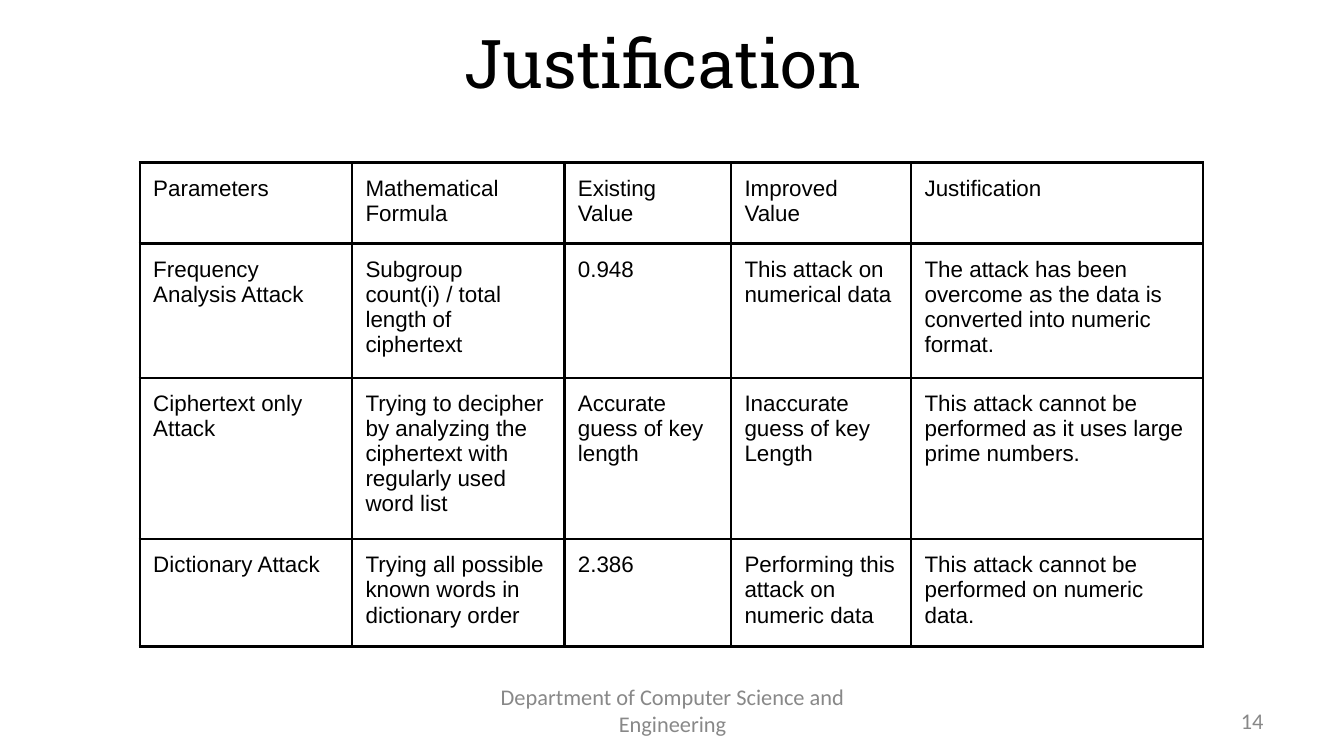
from dataclasses import dataclass

from lxml import etree
from pptx import Presentation
from pptx.dml.color import RGBColor
from pptx.enum.text import MSO_ANCHOR, MSO_AUTO_SIZE, PP_ALIGN
from pptx.oxml.ns import qn
from pptx.util import Inches, Pt

CENTER, RIGHT = PP_ALIGN.CENTER, PP_ALIGN.RIGHT
MIDDLE, BOTTOM = MSO_ANCHOR.MIDDLE, MSO_ANCHOR.BOTTOM
NO_AUTOFIT = MSO_AUTO_SIZE.NONE

COLORS = {"ink": "000000", "muted": "888888", "paper": "FFFFFF"}
SLIDE_W = Inches(10)
SLIDE_H = SLIDE_W * 9 // 16


@dataclass(frozen=True)
class Box:
    """Left, top, width and height in percent of the slide's size."""
    left: float
    top: float
    width: float
    height: float

    def emu(self) -> tuple[int, ...]:
        return (int(SLIDE_W * self.left / 100), int(SLIDE_H * self.top / 100),
                int(SLIDE_W * self.width / 100), int(SLIDE_H * self.height / 100))


@dataclass(frozen=True)
class Label:
    text: str
    box: Box
    align: PP_ALIGN


TITLE_BOX = Box(16.5, 7.47, 66.9, 12.28)
LABELS = [
    Label("14", Box(71.7, 92.7, 23.3, 5.34), RIGHT),
    Label("Department of Computer Science and Engineering",
          Box(34.2, 91.28, 31.7, 5.34), CENTER),
]

# Table grid in inches
TABLE_LEFT, TABLE_TOP = 1.04, 1.21
COL_WIDTHS = [1.58, 1.58, 1.24, 1.34, 2.17]
ROW_HEIGHTS = [0.57, 0.95, 1.14, 0.76]
ROWS = [
    ["Parameters", "Mathematical Formula", "Existing Value", "Improved Value",
     "Justification"],
    ["Frequency Analysis Attack", "Subgroup count(i) / total length of ciphertext",
     "0.948", "This attack on numerical data",
     "The attack has been overcome as the data is converted into numeric format."],
    ["Ciphertext only Attack",
     "Trying to decipher by analyzing the ciphertext with regularly used word list",
     "Accurate guess of key length", "Inaccurate guess of key Length",
     "This attack cannot be performed as it uses large prime numbers."],
    ["Dictionary Attack", "Trying all possible known words in dictionary order",
     "2.386", "Performing this attack on numeric data",
     "This attack cannot be performed on numeric data."],
]


def rgb(name: str) -> RGBColor:
    return RGBColor.from_string(COLORS[name])


def style(p, font: str, size: float, color: str) -> None:
    p.font.name, p.font.size = font, Pt(size)
    p.font.color.rgb = rgb(color)


def set_title(sp, text: str) -> None:
    sp.left, sp.top, sp.width, sp.height = TITLE_BOX.emu()
    tf = sp.text_frame
    tf.text = text
    tf.auto_size, tf.word_wrap = NO_AUTOFIT, True
    # Insets raise the heading above the box's middle
    tf.vertical_anchor = BOTTOM
    tf.margin_bottom, tf.margin_right = Inches(0.35), Inches(0.22)
    p = tf.paragraphs[0]
    p.alignment = CENTER
    style(p, "Roboto Slab", 36, "ink")


def add_label(slide, label: Label) -> None:
    tf = slide.shapes.add_textbox(*label.box.emu()).text_frame
    tf.text = label.text
    tf.word_wrap, tf.vertical_anchor = True, MIDDLE
    p = tf.paragraphs[0]
    p.alignment = label.align
    style(p, "Calibri", 12, "muted")


def add_borders(cell, width: float, color: str) -> None:
    tc_pr = cell._tc.get_or_add_tcPr()
    for i, side in enumerate(("lnL", "lnR", "lnT", "lnB")):
        ln = etree.Element(qn(f"a:{side}"), w=str(Pt(width)))
        fill = etree.SubElement(ln, qn("a:solidFill"))
        etree.SubElement(fill, qn("a:srgbClr"), val=COLORS[color])
        tc_pr.insert(i, ln)


def fill_cell(cell, text: str) -> None:
    cell.text = text
    cell.margin_left = cell.margin_right = Inches(0.1)
    cell.margin_top = cell.margin_bottom = Inches(0.1)
    cell.fill.background()
    style(cell.text_frame.paragraphs[0], "Arial", 12, "ink")
    add_borders(cell, 1.5, "ink")


def add_grid(slide) -> None:
    table = slide.shapes.add_table(
        len(ROWS), len(COL_WIDTHS), Inches(TABLE_LEFT), Inches(TABLE_TOP),
        Inches(sum(COL_WIDTHS)), Inches(sum(ROW_HEIGHTS))).table
    table.first_row = table.horz_banding = False
    for column, width in zip(table.columns, COL_WIDTHS):
        column.width = Inches(width)
    for row, height, texts in zip(table.rows, ROW_HEIGHTS, ROWS):
        row.height = Inches(height)
        for cell, text in zip(row.cells, texts):
            fill_cell(cell, text)


def main() -> None:
    prs = Presentation()
    prs.slide_width, prs.slide_height = SLIDE_W, SLIDE_H
    slide = prs.slides.add_slide(prs.slide_layouts.get_by_name("Title Only"))
    slide.background.fill.solid()
    slide.background.fill.fore_color.rgb = rgb("paper")

    # Heading, page number and footer
    set_title(slide.shapes.title, "Justification")
    for label in LABELS:
        add_label(slide, label)

    # Attack comparison
    add_grid(slide)
    prs.save("out.pptx")


if __name__ == "__main__":
    main()
